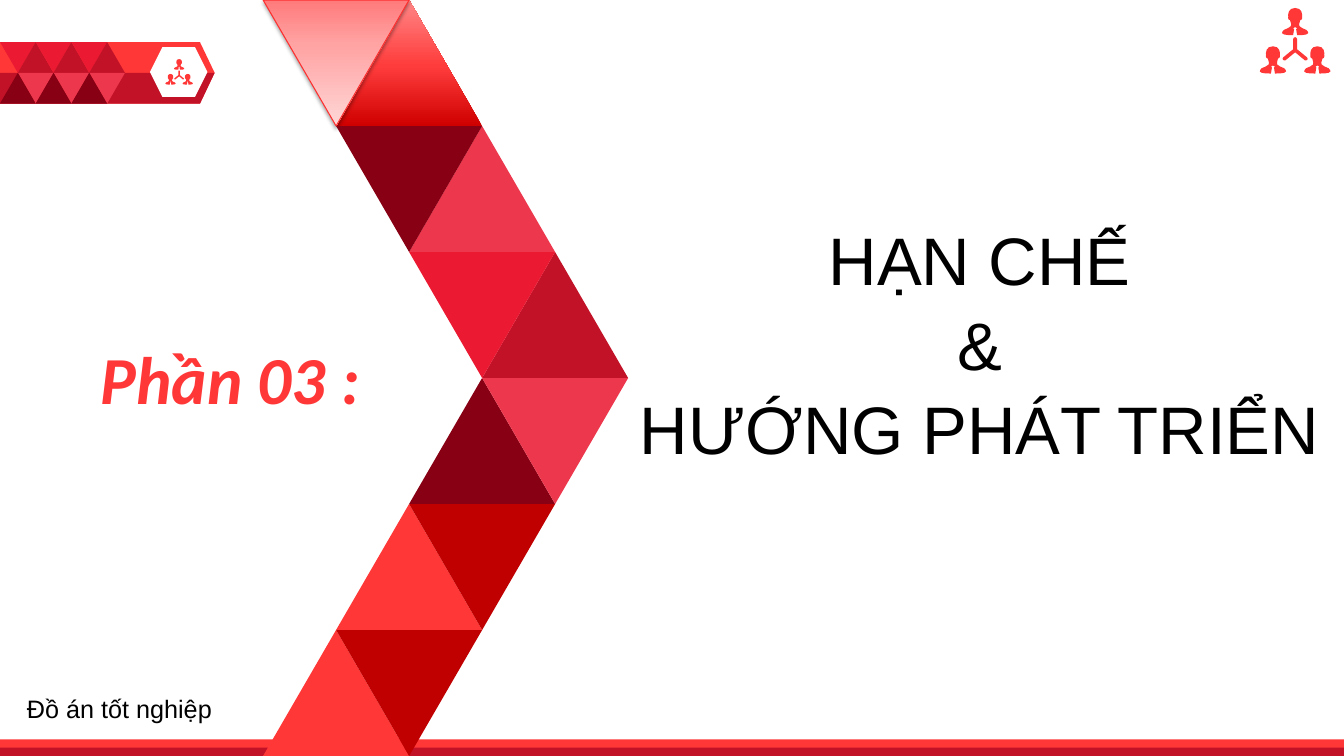
from copy import deepcopy
from dataclasses import dataclass

from lxml import etree
from pptx import Presentation
from pptx.dml.color import RGBColor
from pptx.enum.shapes import MSO_SHAPE
from pptx.enum.text import PP_ALIGN
from pptx.oxml.ns import qn
from pptx.util import Cm, Pt

TRIANGLE = MSO_SHAPE.ISOSCELES_TRIANGLE
PLATE = MSO_SHAPE.PENTAGON
HEXAGON = MSO_SHAPE.HEXAGON
RECTANGLE = MSO_SHAPE.RECTANGLE
LEFT = PP_ALIGN.LEFT
CENTER = PP_ALIGN.CENTER


@dataclass(frozen=True)
class Theme:
    """Colours, fonts and type sizes of the slide."""
    coral: str = "FF3737"
    crimson: str = "C21227"
    scarlet: str = "EB1932"
    rose: str = "ED374D"
    maroon: str = "880014"
    red: str = "C00000"
    white: str = "FFFFFF"
    black: str = "000000"
    outline: str = "FD3030"
    deep_fade: tuple = ((0, "CF0000"), (0.48, "FF3C3C"), (1, "FF8787"))
    pale_fade: tuple = ((0, "FF7A7B"), (0.35, "FFA3A3"), (1, "FFD6D6"))
    heading_font: str = "Calibri"
    body_font: str = "Arial"
    heading_size: int = 48
    footer_size: int = 18


@dataclass(frozen=True)
class Box:
    """A rectangle in centimetres."""
    left: float
    top: float
    width: float
    height: float

    def inner(self, dx, dy, width, height):
        """Return a box offset from this one's top left corner."""
        return Box(self.left + dx, self.top + dy, width, height)

    def emu(self):
        """Return left, top, width and height as lengths."""
        return Cm(self.left), Cm(self.top), Cm(self.width), Cm(self.height)


THEME = Theme()
PERSON_HALF = [(0, 0), (40, 10), (62, 35), (70, 70), (68, 85), (70, 100),
               (64, 115), (50, 122), (40, 160), (42, 180), (70, 200),
               (112, 218), (126, 235), (130, 250), (110, 263), (70, 269),
               (20, 270), (10, 210), (20, 205), (12, 197), (0, 190)]
LINK_HALF = [(0, 0), (14, 6), (20, 20), (20, 120), (118, 200), (124, 212),
             (120, 224), (108, 231), (95, 228), (0, 150)]


def paint(shape, colour):
    """Give a shape a flat or faded fill without line or shadow."""
    shape.shadow.inherit = False
    shape.line.fill.background()
    if isinstance(colour, str):
        shape.fill.solid()
        shape.fill.fore_color.rgb = RGBColor.from_string(colour)
        return
    shape.fill.gradient()
    shape.fill.gradient_angle = 90
    stops = shape._element.spPr.find(qn("a:gradFill")).find(qn("a:gsLst"))
    stops.append(deepcopy(stops[-1]))
    for stop, (position, rgb) in zip(shape.fill.gradient_stops, colour):
        stop.position = position
        stop.color.rgb = RGBColor.from_string(rgb)


def add_piece(shapes, kind, box, colour, turned=False):
    """Add a painted preset shape, upside down if turned."""
    piece = shapes.add_shape(kind, *box.emu())
    paint(piece, colour)
    if turned:
        piece.rotation = 180
    return piece


def add_team_icon(shapes, box):
    """Draw three linked people filling the box."""
    contours = []
    for half, x, y in ((PERSON_HALF, 350, 0), (PERSON_HALF, 130, 380),
                       (PERSON_HALF, 570, 380), (LINK_HALF, 350, 290)):
        right = [(x + dx, y + dy) for dx, dy in half]
        contours.append(right + [(x - dx, y + dy) for dx, dy in half[-2:0:-1]])
    builder = shapes.build_freeform(*contours[0][0], scale=Cm(box.width) / 700)
    for number, contour in enumerate(contours):
        if number:
            builder.move_to(*contour[0])
        builder.add_line_segments(contour[1:], close=True)
    paint(builder.convert_to_shape(Cm(box.left), Cm(box.top)), THEME.coral)


def add_badge(slide, box):
    """Draw the small patterned pointer with the icon in its tip."""
    shapes = slide.shapes.add_group_shape().shapes
    half = box.height / 2
    plate = add_piece(shapes, PLATE, box, THEME.coral)
    plate.adjustments[0] = 0.239
    width, depth = round(box.width * 100), round(half * 100)
    shade = shapes.build_freeform(0, 0, scale=Cm(0.01))
    shade.add_line_segments([(width, 0), (width - 37, depth), (0, depth)], close=True)
    paint(shade.convert_to_shape(Cm(box.left), Cm(box.top + half)), THEME.crimson)
    add_piece(shapes, HEXAGON, box.inner(3.78, 0.13, 1.45, 1.25), THEME.white)
    add_team_icon(shapes, box.inner(4.17, 0.43, 0.69, 0.64))
    pitch = 0.9
    tiles = ((0, 0, THEME.scarlet, True), (0.5, 0, THEME.crimson, False),
             (0.5, half, THEME.rose, True), (0, half, THEME.maroon, False))
    for column in range(3):
        for shift, dy, colour, turned in tiles:
            tile = box.inner((column + shift) * pitch, dy, pitch, half)
            add_piece(shapes, TRIANGLE, tile, colour, turned)


def add_footer_band(slide, box):
    """Draw the two-tone stripe along the bottom edge."""
    half = box.height / 2
    add_piece(slide.shapes, RECTANGLE, box, THEME.coral)
    add_piece(slide.shapes, RECTANGLE, box.inner(0, half, box.width, half), THEME.crimson)


def add_chevron(slide, box):
    """Draw the large arrow of triangles, one upright and one turned per row."""
    shapes = slide.shapes.add_group_shape().shapes
    rows = ((THEME.deep_fade, THEME.pale_fade), (THEME.rose, THEME.maroon),
            (THEME.crimson, THEME.scarlet), (THEME.maroon, THEME.rose),
            (THEME.coral, THEME.red), (THEME.coral, THEME.red))
    step, height = box.width / 5, box.height / len(rows)
    for row, (upright, turned) in enumerate(rows):
        indent = min(row, len(rows) - row)
        neighbour = indent + (1 if row < 3 else -1)
        for place, colour, flip in ((neighbour, upright, False), (indent, turned, True)):
            tile = box.inner(place * step, row * height, 2 * step, height)
            piece = add_piece(shapes, TRIANGLE, tile, colour, flip)
            if colour == THEME.pale_fade:
                add_edge(piece)


def add_edge(piece):
    """Give the pale triangle its thin outline and soft shadow."""
    piece.line.color.rgb = RGBColor.from_string(THEME.outline)
    piece.line.width = Pt(0.75)
    effects = piece._element.spPr.find(qn("a:effectLst"))
    shadow = etree.SubElement(effects, qn("a:outerShdw"), blurRad=str(Pt(3.1)),
                              dist=str(Pt(1.6)), dir="5400000", rotWithShape="0")
    tint = etree.SubElement(shadow, qn("a:srgbClr"), val=THEME.black)
    etree.SubElement(tint, qn("a:alpha"), val="37000")


def add_words(slide, box, lines, font, size, colour, align=LEFT, strong=False, spacing=1.0):
    """Write one paragraph per line inside the box."""
    frame = slide.shapes.add_textbox(*box.emu()).text_frame
    frame.word_wrap = True
    for number, line in enumerate(lines):
        paragraph = frame.add_paragraph() if number else frame.paragraphs[0]
        paragraph.alignment = align
        paragraph.line_spacing = spacing
        run = paragraph.add_run()
        run.text = line
        run.font.name = font
        run.font.size = Pt(size)
        run.font.bold = run.font.italic = strong
        run.font.color.rgb = RGBColor.from_string(colour)


def add_section_slide(deck):
    """Build the section opener."""
    slide = deck.slides.add_slide(deck.slide_layouts[6])
    add_badge(slide, Box(0, 1.06, 5.41, 1.55))
    add_footer_band(slide, Box(0, 18.63, 33.87, 0.42))
    add_chevron(slide, Box(6.63, 0, 9.2, 19.05))
    add_words(slide, Box(2.29, 8.38, 10.46, 2.29), ["Phần 03 :"],
              THEME.heading_font, THEME.heading_size, THEME.coral, strong=True)
    add_words(slide, Box(15.8, 5.28, 17.78, 8.46), ["HẠN CHẾ", "&", "HƯỚNG PHÁT TRIỂN"],
              THEME.body_font, THEME.heading_size, THEME.black, CENTER, spacing=1.05)
    add_team_icon(slide.shapes, Box(31.75, 0.2, 1.78, 1.65))
    add_words(slide, Box(0.43, 17.35, 7.19, 1.02), ["Đồ án tốt nghiệp"],
              THEME.body_font, THEME.footer_size, THEME.black)


def main():
    """Create and save the deck."""
    deck = Presentation()
    deck.slide_width, deck.slide_height = Cm(33.87), Cm(19.05)
    add_section_slide(deck)
    deck.save("out.pptx")


if __name__ == "__main__":
    main()
